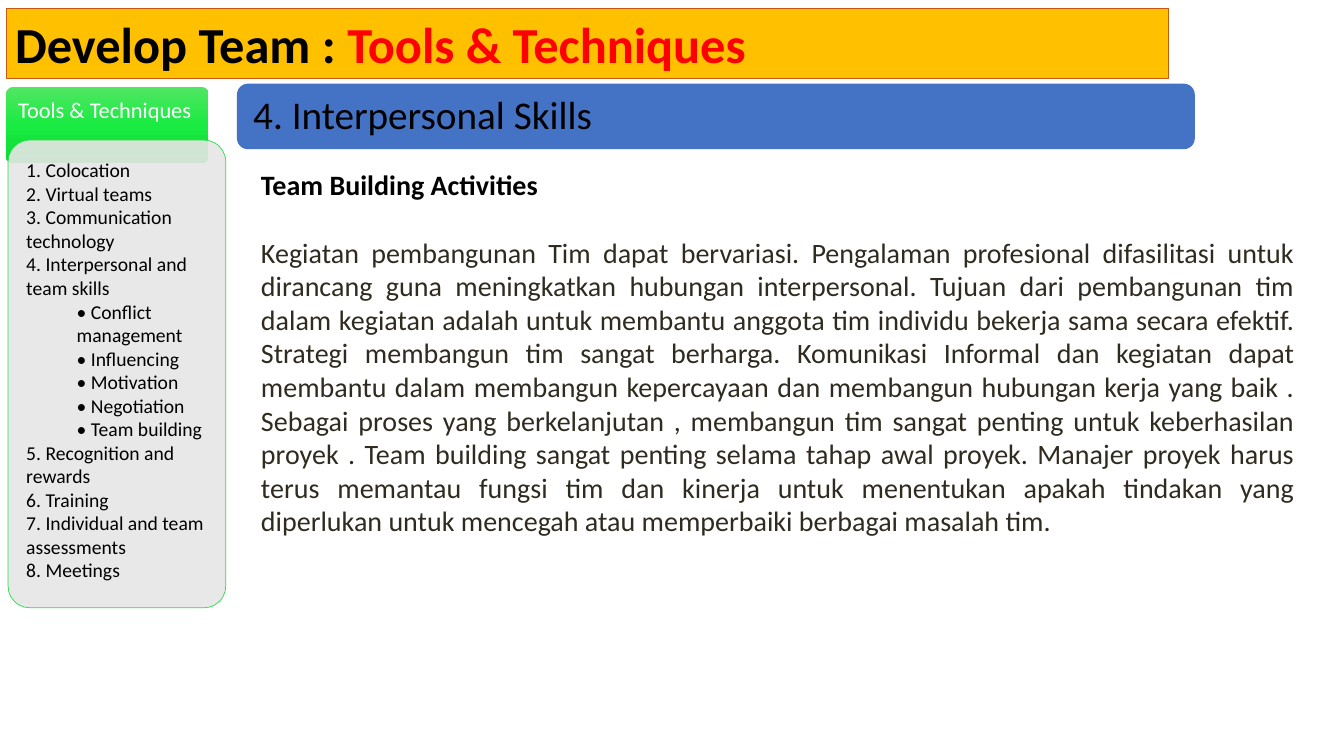
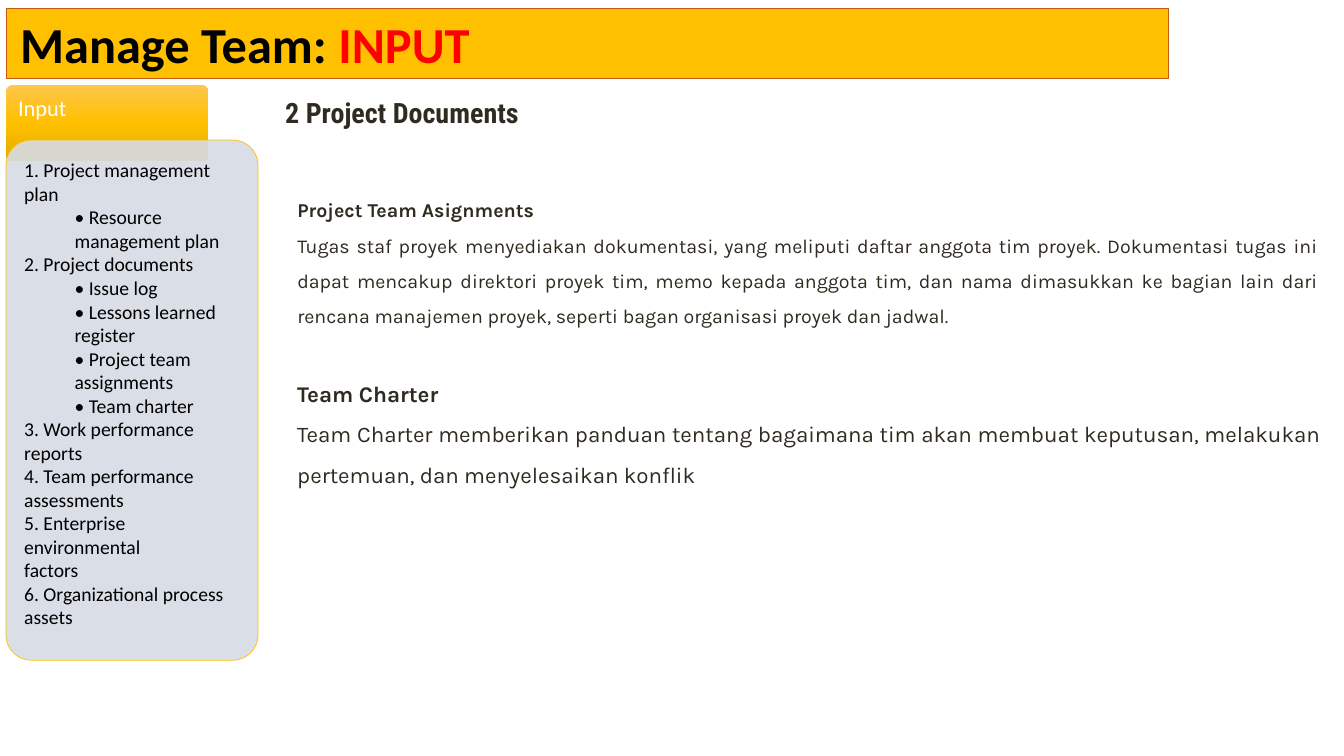
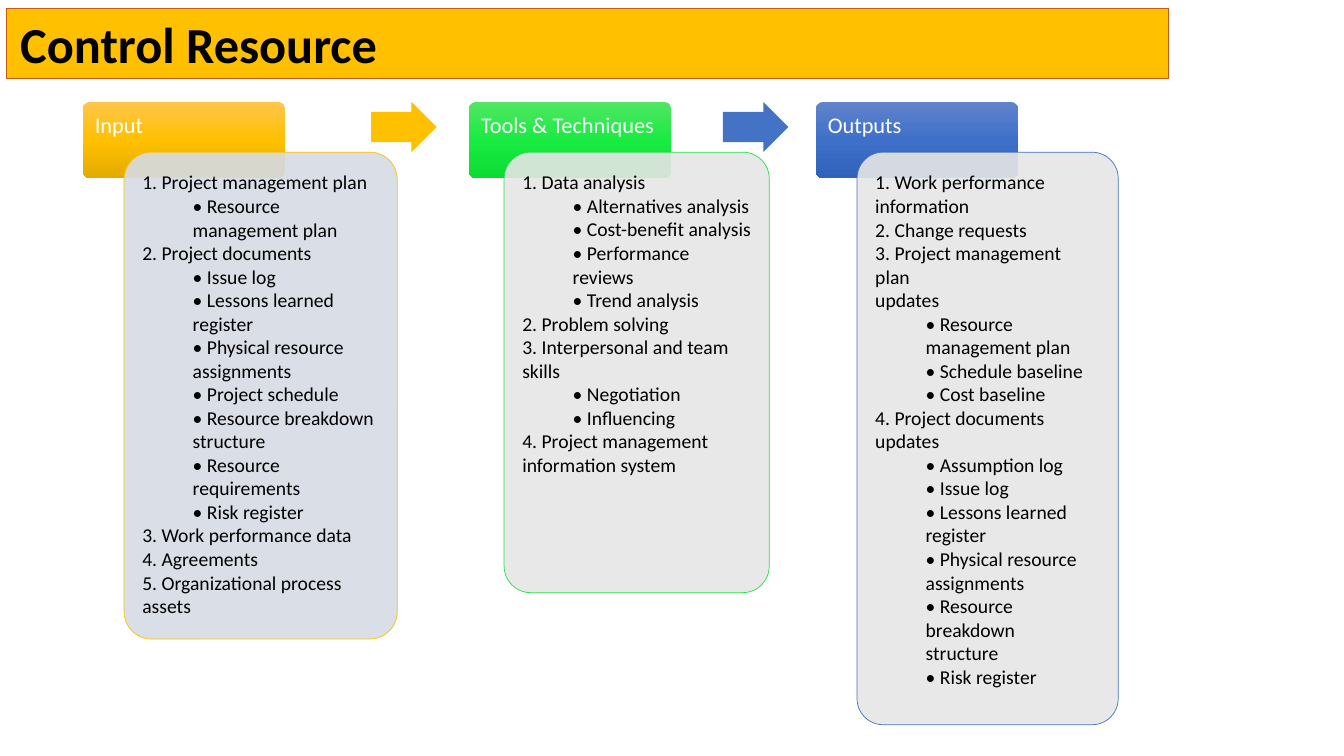
from dataclasses import dataclass

from copy import deepcopy
from lxml.etree import SubElement
from pptx import Presentation
from pptx.dml.color import RGBColor
from pptx.enum.shapes import MSO_SHAPE as Preset
from pptx.enum.text import MSO_ANCHOR as Anchor, PP_ALIGN as Align
from pptx.oxml.ns import qn
from pptx.util import Inches, Pt


@dataclass(frozen=True)
class Palette:
    gradient: tuple
    panel: str
    line: str


@dataclass(frozen=True)
class Theme:
    black: str = "000000"
    white: str = "FFFFFF"
    ink: str = "2F2B20"
    red: str = "FF0000"
    gold: str = "FFC000"
    rust: str = "C55A11"
    blue: str = "4472C4"
    font: str = "Calibri"
    heading_font: str = "Roboto Condensed"
    note_font: str = "Karla"
    title_size: int = 36
    banner_size: int = 28
    body_size: int = 20
    tab_size: int = 16
    list_size: int = 14
    input: Palette = Palette(("FFC64B", "FFC000", "E3AB00"), "D6DCE5", "FFC000")
    tools: Palette = Palette(("51E663", "19EB42", "0CDB34"), "E7E6E6", "23E148")
    outputs: Palette = Palette(("6183CB", "3E70CA", "3062BB"), "E7E6E6", "4472C4")


@dataclass(frozen=True)
class Box:
    left: float
    top: float
    width: float
    height: float

    def place(self):
        return (int(self.left * COLUMN), int(self.top * ROW),
                int(self.width * COLUMN), int(self.height * ROW))


THEME = Theme()
SLIDE_WIDTH, SLIDE_HEIGHT = Inches(13.33), Inches(7.5)
COLUMN, ROW = SLIDE_WIDTH / 100, SLIDE_HEIGHT / 100
TITLE_BOX = Box(0.45, 1.07, 86.5, 9.33)
TAB_WIDTH, TAB_HEIGHT = 15.08, 10.13
CORNER = 0.1
CORNER_INSET = 0.29 * CORNER


def rgb(value):
    return RGBColor.from_string(value)


def set_insets(frame, left, top, right, bottom):
    frame.margin_left, frame.margin_top = Inches(left), Inches(top)
    frame.margin_right, frame.margin_bottom = Inches(right), Inches(bottom)


def style(paragraph, size, color, font=THEME.font, bold=False, align=Align.LEFT, spacing=None):
    paragraph.alignment = align
    if spacing:
        paragraph.line_spacing = spacing
    for run in paragraph.runs:
        run.font.size, run.font.name, run.font.bold = Pt(size), font, bold
        run.font.color.rgb = rgb(color)


def next_paragraph(frame, index):
    return frame.add_paragraph() if index else frame.paragraphs[0]


def add_box(slide, preset, box, fill=None, line=None, line_width=0.5):
    shape = slide.shapes.add_shape(preset, *box.place())
    shape.shadow.inherit = False
    if fill:
        shape.fill.solid()
        shape.fill.fore_color.rgb = rgb(fill)
    if line:
        shape.line.color.rgb = rgb(line)
        shape.line.width = Pt(line_width)
    else:
        shape.line.fill.background()
    shape.text_frame.word_wrap = True
    shape.text_frame.vertical_anchor = Anchor.TOP
    return shape


def add_text(slide, box):
    frame = slide.shapes.add_textbox(*box.place()).text_frame
    frame.word_wrap = True
    return frame


def set_gradient(shape, colors):
    shape.fill.gradient()
    shape.fill.gradient_angle = 270
    stops = shape.element.spPr.find(qn("a:gradFill")).find(qn("a:gsLst"))
    stops.append(deepcopy(stops[0]))
    for index, (stop, color) in enumerate(zip(shape.fill.gradient_stops, colors)):
        stop.position = index / 2
        stop.color.rgb = rgb(color)


def set_opacity(shape, percent):
    color = shape.element.spPr.find(qn("a:solidFill"))[0]
    SubElement(color, qn("a:alpha")).set("val", str(percent * 1000))


def title_band(slide, text, accent="", inset=0.14):
    shape = add_box(slide, Preset.RECTANGLE, TITLE_BOX, THEME.gold, THEME.rust, 0.75)
    set_insets(shape.text_frame, inset, 0.05, 0.09, 0.05)
    paragraph = shape.text_frame.paragraphs[0]
    paragraph.text = text
    if accent:
        paragraph.add_run().text = accent
    style(paragraph, THEME.title_size, THEME.black, bold=True)
    if accent:
        paragraph.runs[-1].font.color.rgb = rgb(THEME.red)


def tab(slide, box, label, palette):
    shape = add_box(slide, Preset.ROUNDED_RECTANGLE, box)
    shape.adjustments[0] = CORNER
    set_gradient(shape, palette.gradient)
    set_insets(shape.text_frame, 0.1, 0.1, 0.1, 0.3)
    shape.text_frame.text = label
    style(shape.text_frame.paragraphs[0], THEME.tab_size, THEME.white, spacing=0.9)


def list_panel(slide, box, items, palette):
    shape = add_box(slide, Preset.ROUNDED_RECTANGLE, box, palette.panel, palette.line)
    shape.adjustments[0] = CORNER
    set_opacity(shape, 90)
    inset = 0.18 - CORNER_INSET * shape.width / Inches(1)
    set_insets(shape.text_frame, inset, inset, inset, inset)
    lines = [(text, isinstance(item, list)) for item in items
             for text in (item if isinstance(item, list) else [item])]
    for index, (text, nested) in enumerate(lines):
        paragraph = next_paragraph(shape.text_frame, index)
        paragraph.text = text
        style(paragraph, THEME.list_size, THEME.black)
        if nested:
            paragraph.level = 1
            properties = paragraph._p.get_or_add_pPr()
            properties.set("marL", str(Inches(0.5)))
            properties.set("indent", "0")


def stage(slide, box, indent, drop, label, palette, items):
    tab(slide, Box(box.left, box.top, TAB_WIDTH, TAB_HEIGHT), label, palette)
    panel = Box(box.left + indent, box.top + drop, box.width - indent, box.height - drop)
    list_panel(slide, panel, items, palette)


def banner(slide, box, text):
    shape = add_box(slide, Preset.ROUNDED_RECTANGLE, box, THEME.blue)
    frame = shape.text_frame
    frame.vertical_anchor = Anchor.MIDDLE
    set_insets(frame, 0.13, 0.05, 0.13, 0.05)
    frame.text = text
    style(frame.paragraphs[0], THEME.banner_size, THEME.black, spacing=0.9)


def section_heading(slide, box, text):
    frame = add_text(slide, box)
    frame.vertical_anchor = Anchor.BOTTOM
    set_insets(frame, 0.1, 0.1, 0.1, 0.1)
    frame.text = text
    style(frame.paragraphs[0], THEME.body_size, THEME.ink, THEME.heading_font, True)


def note(slide, box, heading, body, size, font=THEME.note_font,
         heading_color=THEME.ink, spacing=1.5, gap=0):
    frame = add_text(slide, box)
    for index, (text, color) in enumerate([(heading, heading_color), (body, THEME.ink)]):
        paragraph = next_paragraph(frame, index)
        paragraph.text = text
        style(paragraph, size, color, font, index == 0, Align.JUSTIFY, spacing)
    frame.paragraphs[0].space_after = Pt(gap)


def arrow(slide, box, color):
    shape = add_box(slide, Preset.RIGHT_ARROW, box, color)
    shape.adjustments[0], shape.adjustments[1] = 0.6, 0.5


def develop_team(slide):
    title_band(slide, "Develop Team : ", "Tools & Techniques", 0.09)
    stage(slide, Box(0.45, 11.47, 16.35, 68.93), 0.15, 7.06, "Tools & Techniques", THEME.tools, [
        "1. Colocation", "2. Virtual teams", "3. Communication technology",
        "4. Interpersonal and team skills",
        ["• Conflict management", "• Influencing", "• Motivation", "• Negotiation",
         "• Team building"],
        "5. Recognition and rewards", "6. Training", "7. Individual and team",
        "assessments", "8. Meetings"])
    note(slide, Box(18.68, 21.47, 78.39, 55.2), "Team Building Activities",
         "Kegiatan pembangunan Tim dapat bervariasi. Pengalaman profesional difasilitasi untuk "
         "dirancang guna meningkatkan hubungan interpersonal. Tujuan dari pembangunan tim dalam "
         "kegiatan adalah untuk membantu anggota tim individu bekerja sama secara efektif. "
         "Strategi membangun tim sangat berharga. Komunikasi Informal dan kegiatan dapat membantu "
         "dalam membangun kepercayaan dan membangun hubungan kerja yang baik . Sebagai proses yang "
         "berkelanjutan , membangun tim sangat penting untuk keberhasilan proyek . Team building "
         "sangat penting selama tahap awal proyek. Manajer proyek harus terus memantau fungsi tim "
         "dan kinerja untuk menentukan apakah tindakan yang diperlukan untuk mencegah atau "
         "memperbaiki berbagai masalah tim.",
         THEME.body_size, THEME.font, THEME.black, None, 24.4)
    banner(slide, Box(17.63, 11.07, 71.27, 8.67), "4. Interpersonal Skills")


def manage_team(slide):
    title_band(slide, "Manage Team: ", "INPUT")
    section_heading(slide, Box(20.48, 8.67, 47.26, 9.73), "2 Project Documents")
    note(slide, Box(21.38, 24, 77.49, 20.13), "Project Team Asignments",
         "Tugas staf proyek menyediakan dokumentasi, yang meliputi daftar anggota tim proyek. "
         "Dokumentasi tugas ini dapat mencakup direktori proyek tim, memo kepada anggota tim, dan "
         "nama dimasukkan ke bagian lain dari rencana manajemen proyek, seperti bagan organisasi "
         "proyek dan jadwal.", THEME.list_size)
    stage(slide, Box(0.45, 11.2, 18.75, 76.13), 0, 7.33, "Input", THEME.input, [
        "1. Project management plan", ["• Resource management plan"],
        "2. Project documents",
        ["• Issue log", "• Lessons learned register", "• Project team assignments",
         "• Team charter"],
        "3. Work performance reports", "4. Team performance", "assessments",
        "5. Enterprise environmental", "factors", "6. Organizational process assets"])
    note(slide, Box(21.38, 47.87, 77.64, 17.47), "Team Charter",
         "Team Charter memberikan panduan tentang bagaimana tim akan membuat keputusan, melakukan "
         "pertemuan, dan menyelesaikan konflik", THEME.tab_size)


def control_resource(slide):
    title_band(slide, "Control Resource")
    top, drop = 13.47, 6.66
    stage(slide, Box(6.15, top, 23.41, 71.06), 3.08, drop, "Input", THEME.input, [
        "1. Project management plan", ["• Resource management plan"],
        "2. Project documents",
        ["• Issue log", "• Lessons learned register", "• Physical resource", "assignments",
         "• Project schedule", "• Resource breakdown", "structure",
         "• Resource requirements", "• Risk register"],
        "3. Work performance data", "4. Agreements", "5. Organizational process assets"])
    stage(slide, Box(34.88, top, 22.36, 64.93), 2.63, drop, "Tools & Techniques", THEME.tools, [
        "1. Data analysis",
        ["• Alternatives analysis", "• Cost-benefit analysis", "• Performance reviews",
         "• Trend analysis"],
        "2. Problem solving", "3. Interpersonal and team skills",
        ["• Negotiation", "• Influencing"],
        "4. Project management", "information system"])
    stage(slide, Box(60.69, top, 22.51, 82.39), 3.08, drop, "Outputs", THEME.outputs, [
        "1. Work performance", "information", "2. Change requests",
        "3. Project management plan", "updates",
        ["• Resource management plan", "• Schedule baseline", "• Cost baseline"],
        "4. Project documents updates",
        ["• Assumption log", "• Issue log", "• Lessons learned register",
         "• Physical resource", "assignments", "• Resource breakdown", "structure",
         "• Risk register"]])
    for left, color in ((27.61, THEME.gold), (53.79, THEME.blue)):
        arrow(slide, Box(left, top, 4.88, drop), color)


def main():
    presentation = Presentation()
    presentation.slide_width, presentation.slide_height = SLIDE_WIDTH, SLIDE_HEIGHT
    blank = presentation.slide_layouts[6]
    for build in (develop_team, manage_team, control_resource):
        build(presentation.slides.add_slide(blank))
    presentation.save("out.pptx")


if __name__ == "__main__":
    main()
